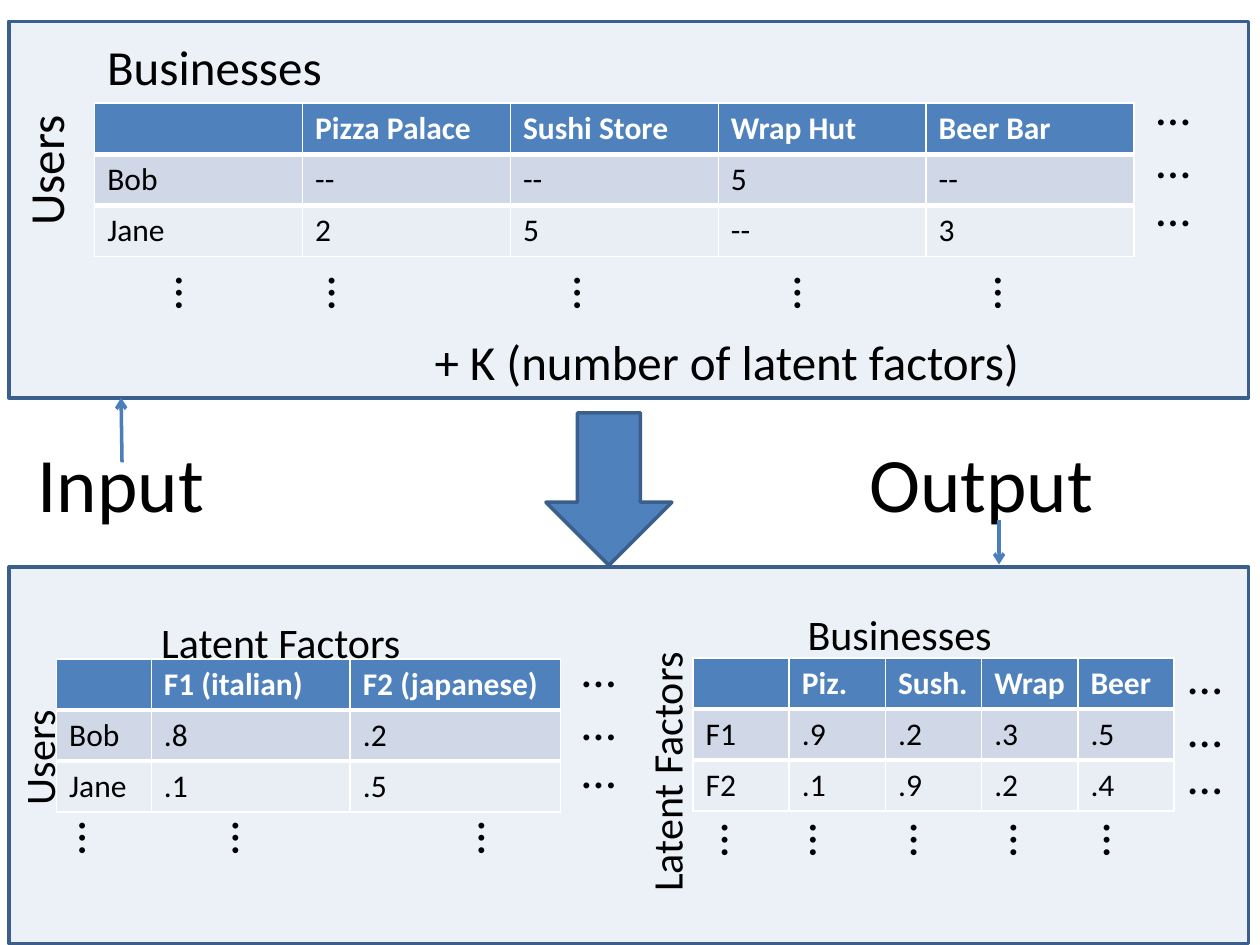
from pptx import Presentation
from pptx.dml.color import RGBColor
from pptx.enum.shapes import MSO_CONNECTOR, MSO_SHAPE
from pptx.enum.text import MSO_AUTO_SIZE
from pptx.oxml.ns import qn
from pptx.util import Cm, Pt
from lxml.etree import SubElement

FONT = "Calibri"
BLUE, EDGE, ARROW = "4F81BD", "3A5F8C", "4B7EBC"
BLACK, WHITE = "000000", "FFFFFF"
ROW_FILLS = [BLUE, "D0D8E8", "E9EDF4"]
ROW_H = 1.03
DOT_STEPS = [0, 1.07, 2.03]


def rgb(value):
    return RGBColor.from_string(value)


def style_font(font, size, color, bold=False):
    font.name, font.size, font.bold = FONT, Pt(size), bold
    font.color.rgb = rgb(color)


def add_label(s, text, x, y, w, h, size=28, vert=None):
    tf = s.shapes.add_textbox(Cm(x), Cm(y), Cm(w), Cm(h)).text_frame
    tf.word_wrap = False
    tf.auto_size = MSO_AUTO_SIZE.SHAPE_TO_FIT_TEXT
    if vert:
        tf._txBody.bodyPr.set("vert", vert)
    p = tf.paragraphs[0]
    p.text = text
    style_font(p.font, size, BLACK)


def add_block(s, kind, x, y, w, h):
    sp = s.shapes.add_shape(kind, Cm(x), Cm(y), Cm(w), Cm(h))
    sp.shadow.inherit = False
    sp.fill.solid()
    sp.fill.fore_color.rgb = rgb(BLUE)
    sp.line.color.rgb = rgb(EDGE)
    sp.line.width = Pt(2)
    return sp


def add_panel(s, x, y, w, h):
    sp = add_block(s, MSO_SHAPE.RECTANGLE, x, y, w, h)
    color = sp._element.spPr.find(qn("a:solidFill"))[0]
    SubElement(color, qn("a:alpha")).set("val", "11000")


def add_arrow(s, x1, y1, x2, y2):
    line = s.shapes.add_connector(MSO_CONNECTOR.STRAIGHT, Cm(x1), Cm(y1), Cm(x2), Cm(y2))
    line.line.color.rgb = rgb(ARROW)
    line.line.width = Pt(2)
    SubElement(line.line._get_or_add_ln(), qn("a:tailEnd")).set("type", "arrow")
    SubElement(line._element.spPr, qn("a:effectLst"))


def set_border(cell, side, width):
    tc_pr = cell._tc.get_or_add_tcPr()
    ln = SubElement(tc_pr, qn(f"a:{side}"), w=str(Pt(width)))
    fill = SubElement(ln, qn("a:solidFill"))
    SubElement(fill, qn("a:srgbClr"), val=WHITE)


def add_matrix(s, x, y, rows, widths):
    table = s.shapes.add_table(len(rows), len(widths), Cm(x), Cm(y),
                               Cm(sum(widths)), Cm(ROW_H * len(rows))).table
    for col, width in zip(table.columns, widths):
        col.width = Cm(width)
    for i, values in enumerate(rows):
        table.rows[i].height = Cm(ROW_H)
        for j, value in enumerate(values):
            cell = table.cell(i, j)
            if i < 2:
                set_border(cell, "lnT" if i else "lnB", 3)
            cell.fill.solid()
            cell.fill.fore_color.rgb = rgb(ROW_FILLS[i])
            p = cell.text_frame.paragraphs[0]
            p.text = value
            style_font(p.font, 18, BLACK if i else WHITE, bold=i == 0)


def add_dots(s, right_x, right_y, below_xs, below_y):
    for step in DOT_STEPS:
        add_label(s, "…", right_x, right_y + step, 1.19, 1.45)
    for x in below_xs:
        add_label(s, "…", x, below_y, 1.7, 0.94, vert="vert")


def build_input(s, x, y, w, h):
    add_panel(s, x, y, w, h)
    add_matrix(s, x + 1.73, y + 1.65, [
        ["", "Pizza Palace", "Sushi Store", "Wrap Hut", "Beer Bar"],
        ["Bob", "--", "--", "5", "--"],
        ["Jane", "2", "5", "--", "3"],
    ], [4.19] * 5)
    add_label(s, "Users", x, y + 1.63, 1.7, 2.74, vert="vert270")
    add_label(s, "Businesses", x + 1.73, y + 0.18, 4.9, 1.45)
    add_dots(s, x + 22.88, y + 0.99,
             [x + dx for dx in (2.79, 5.87, 10.82, 15.26, 19.3)], y + 4.9)
    add_label(s, "+ K (number of latent factors)", x + 8.33, y + 6.12, 12.42, 1.45)


def build_middle(s, x, y):
    add_block(s, MSO_SHAPE.RIGHT_ARROW, x + 10.56, y + 0.57, 3.07, 2.54).rotation = 90
    add_label(s, "Input", x + 0.33, y + 0.64, 3.91, 2.13, 44)
    add_label(s, "Output", x + 17.09, y + 0.64, 5.08, 2.13, 44)
    add_arrow(s, x + 2.28, y + 1.3, x + 2.26, y)
    add_arrow(s, x + 19.96, y + 2.47, x + 19.96, y + 3.36)


def build_user_factors(s, x, y):
    add_matrix(s, x + 0.96, y + 1.85, [
        ["", "F1 (italian)", "F2 (japanese)"],
        ["Bob", ".8", ".2"],
        ["Jane", ".1", ".5"],
    ], [1.91, 4.01, 4.24])
    add_dots(s, x + 11.3, y + 1.32, [x + dx for dx in (0.84, 3.93, 8.89)], y + 4.88)
    add_label(s, "Users", x - 0.04, y + 2.64, 1.7, 2.41, 24, "vert270")
    add_label(s, "Latent Factors", x + 2.82, y + 0.87, 5.7, 1.27, 24)


def build_business_factors(s, x, y):
    add_matrix(s, x + 1.22, y + 1.83, [
        ["", "Piz.", "Sush.", "Wrap", "Beer"],
        ["F1", ".9", ".2", ".3", ".5"],
        ["F2", ".1", ".9", ".2", ".4"],
    ], [1.94] * 5)
    add_dots(s, x + 10.95, y + 1.45,
             [x + dx for dx in (1.22, 3, 5.03, 7.04, 8.92)], y + 4.93)
    add_label(s, "Latent Factors", x + 0.04, y + 1.2, 1.7, 5.6, 24, "vert270")
    add_label(s, "Businesses", x + 3.28, y + 0.71, 4.27, 1.27, 24)


def build_output(s, x, y, w, h):
    add_panel(s, x, y, w, h)
    build_user_factors(s, x, y)
    build_business_factors(s, x + 12.57, y)


def main():
    prs = Presentation()
    prs.slide_width, prs.slide_height = Cm(25.4), Cm(19.05)
    s = prs.slides.add_slide(prs.slide_layouts[6])
    left, width, height = 0.18, 24.99, 7.59
    build_input(s, left, 0.43, width, height)
    build_middle(s, left, 8.02)
    build_output(s, left, 11.43, width, height)
    prs.save("out.pptx")


if __name__ == "__main__":
    main()
